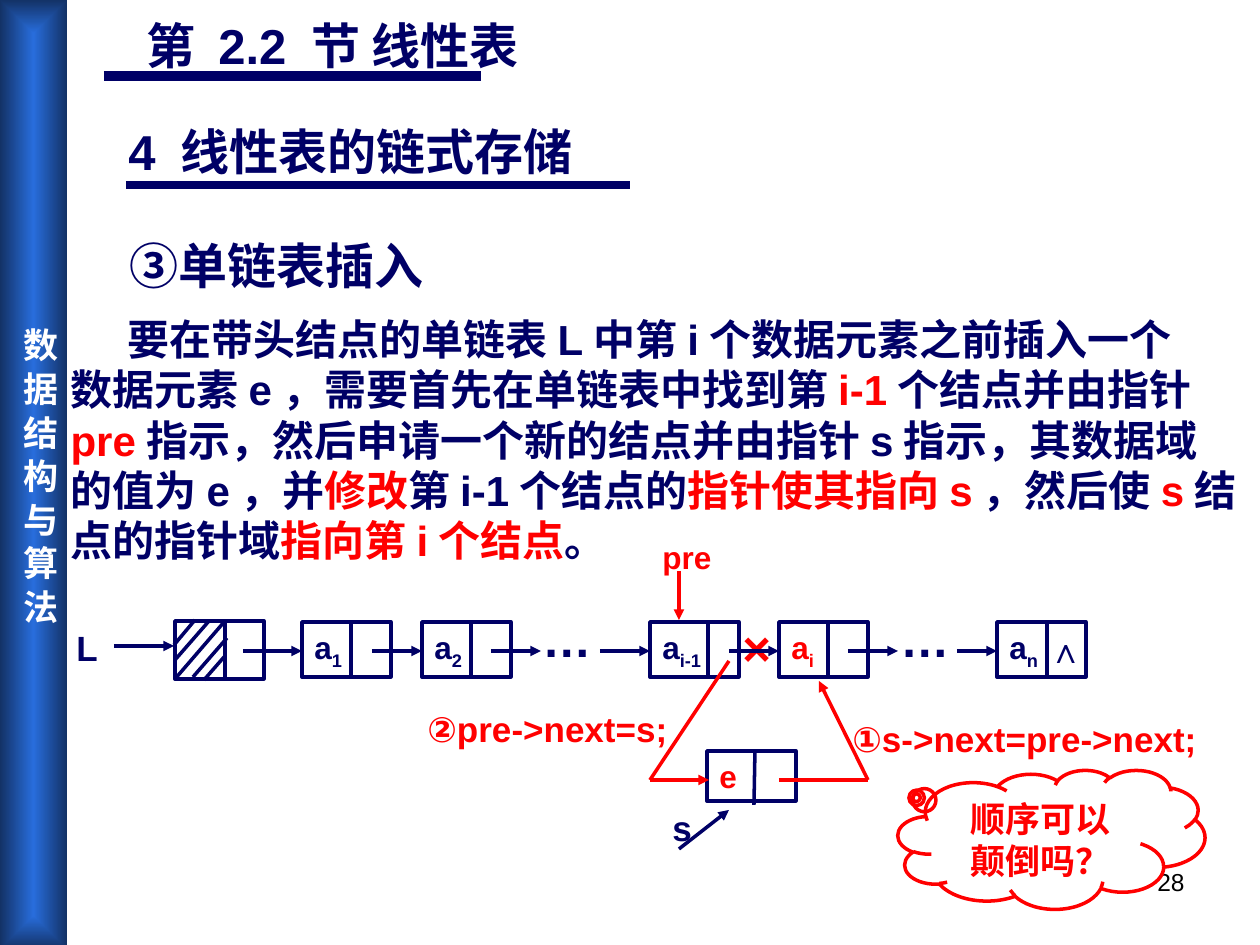
"""Build the slide on inserting a node into a singly linked list."""
from lxml import etree
from pptx import Presentation
from pptx.dml.color import RGBColor
from pptx.enum import shapes, text
from pptx.oxml import parse_xml
from pptx.oxml.ns import nsdecls, qn
from pptx import util as u

PX = 7257
NAVY, RED, WHITE, BLACK = "000066", "FF0000", "FFFFFF", "000000"
rgb = RGBColor.from_string


def write(sp, content, size=20, color=NAVY, accent=RED, base=0, bold=True,
          font="Arial", align="LEFT", wrap=False, anchor="TOP"):
    """Fill a shape with paragraphs; parts between asterisks take the accent and base."""
    tf = sp.text_frame
    tf.word_wrap = wrap
    tf.auto_size = text.MSO_AUTO_SIZE.NONE if wrap else text.MSO_AUTO_SIZE.SHAPE_TO_FIT_TEXT
    tf.vertical_anchor = text.MSO_ANCHOR[anchor]
    for i, line in enumerate(content.split("\n")):
        p = tf.add_paragraph() if i else tf.paragraphs[0]
        p.alignment = text.PP_ALIGN[align]
        p.space_before = u.Pt(0)
        for j, part in enumerate(line.split("*")):
            if not part:
                continue
            r = p.add_run()
            r.text = part
            r.font.size, r.font.bold, r.font.name = u.Pt(size), bold, font
            r.font.color.rgb = rgb(accent if j % 2 else color)
            rpr = r.font._element
            etree.SubElement(rpr, qn("a:ea")).set("typeface", "Noto Sans CJK SC")
            if j % 2 and base:
                rpr.set("baseline", str(base))


def outline(kind, box, color=NAVY):
    """Add an unfilled shape with a 2 pt outline."""
    sp = s.shapes.add_shape(shapes.MSO_SHAPE[kind], *[v * PX for v in box])
    sp.shadow.inherit = False
    sp.fill.background()
    sp.line.color.rgb, sp.line.width = rgb(color), u.Pt(2)
    return sp


prs = Presentation()
prs.slide_width, prs.slide_height = 1260 * PX, 945 * PX
s = prs.slides.add_slide(prs.slide_layouts[1])

bar = outline("RECTANGLE", (0, 0, 67, 949))
bar.line.fill.background()
bar_pr = bar._element.spPr
bar_pr.replace(bar_pr.find(qn("a:noFill")), parse_xml(
    f'<a:gradFill {nsdecls("a")} rotWithShape="1"><a:gsLst>'
    '<a:gs pos="0"><a:srgbClr val="286DDC"/></a:gs>'
    '<a:gs pos="100000"><a:srgbClr val="133266"/></a:gs></a:gsLst>'
    '<a:path path="rect"><a:fillToRect l="50000" t="50000" r="50000" b="50000"/></a:path>'
    '</a:gradFill>'))
write(bar, "数 据 结 构 与 算 法", color=WHITE, font="Noto Sans CJK SC", wrap=True)
bar_tf = bar.text_frame
bar_tf.margin_left = bar_tf.margin_right = 6 * PX
bar_tf.margin_top, bar_tf.margin_bottom = 328 * PX, 13 * PX
bar_tf._txBody.bodyPr.set("vert", "eaVert")

title, body = s.placeholders
for sp, box in ((title, (134, 9, 723, 72)), (body, (58, 307, 1220, 265))):
    sp.left, sp.top, sp.width, sp.height = [v * PX for v in box]
write(title, "第 2.2 节 线性表", size=28, wrap=True)
write(body, "要在带头结点的单链表L中第i个数据元素之前插入一个\n"
      "数据元素e，需要首先在单链表中找到第*i-1*个结点并由指针\n"
      "*pre*指示，然后申请一个新的结点并由指针s指示，其数据域\n"
      "的值为e，并*修改*第i-1个结点的*指针使其指向s*，然后使*s*结\n"
      "点的指针域*指向第i个结点*。", size=24, wrap=True)
for i, p in enumerate(body.text_frame.paragraphs):
    ppr = p._p.get_or_add_pPr()
    ppr.set("marL", "0")
    ppr.set("indent", "0" if i else str(57 * PX))
    etree.SubElement(ppr, qn("a:buNone"))

labels = [
    ("4 线性表的链式存储", (116, 115, 553, 72), dict(size=28, wrap=True)),
    ("③单链表插入", (117, 229, 423, 72), dict(size=28, wrap=True)),
    ("28", (903, 861, 294, 66), dict(size=14, color=BLACK, bold=False, align="RIGHT", wrap=True)),
    ("s", (660, 800, 44, 55), {}),
    ("L", (64, 620, 47, 55), {}),
    ("∧", (1036, 622, 60, 55), {}),
    ("×", (730, 611, 53, 72), dict(size=28, color=RED)),
    ("…", (530, 602, 74, 72), dict(size=28)),
    ("…", (888, 602, 74, 72), dict(size=28)),
    ("pre", (650, 532, 74, 50), dict(size=18, color=RED)),
    ("①s->next=pre->next;", (840, 711, 400, 55), dict(color=RED, wrap=True)),
    ("②pre->next=s;", (415, 701, 285, 55), dict(color=RED, wrap=True)),
]
for content, box, fmt in labels:
    write(s.shapes.add_textbox(*[v * PX for v in box]), content, **fmt)

lines = [
    (104, 76, 481, 76, NAVY, 6, False),
    (126, 185, 630, 185, NAVY, 4.25, False),
    (114, 646, 174, 646, NAVY, 2, True),
    (225, 621, 225, 680, NAVY, 2, False),
    (755, 751, 754, 805, NAVY, 2, False),
    (679, 849, 729, 810, NAVY, 2, True),
    (679, 571, 679, 620, RED, 2, True),
    (779, 780, 868, 780, RED, 2, False),
    (868, 780, 819, 681, RED, 2, True),
    (729, 661, 650, 780, RED, 2, False),
    (650, 780, 709, 780, RED, 2, True),
]
hatches = [(195, 620, 174, 645), (209, 621, 175, 660), (225, 621, 175, 679),
           (227, 638, 193, 677), (225, 656, 204, 680)]
lines += [(*ends, NAVY, 2, False) for ends in hatches]
links = [(243, 302), (372, 422), (491, 541), (600, 650), (729, 779), (848, 898), (957, 997)]
lines += [(x1, 651, x2, 651, NAVY, 2, True) for x1, x2 in links]

outline("RECTANGLE", (175, 621, 89, 58))
nodes = [("a*1*", 302, 49, NAVY), ("a*2*", 422, 49, NAVY), ("a*i-1*", 650, 58, NAVY),
         ("a*i*", 779, 49, RED), ("a*n*", 997, 50, NAVY)]
for content, x, split, color in nodes:
    sp = outline("RECTANGLE", (x, 622, 89, 55))
    write(sp, content, size=18, color=color, accent=color, base=-25000, wrap=True)
    lines.append((x + split, 622, x + split, 677, NAVY, 2, False))
write(outline("RECTANGLE", (707, 751, 89, 50)), "e", size=18, color=RED, wrap=True)

for x1, y1, x2, y2, color, width, arrow in lines:
    c = s.shapes.add_connector(shapes.MSO_CONNECTOR.STRAIGHT, x1 * PX, y1 * PX, x2 * PX, y2 * PX)
    c.line.color.rgb, c.line.width = rgb(color), u.Pt(width)
    if arrow:
        etree.SubElement(c.line._get_or_add_ln(), qn("a:tailEnd")).set("type", "triangle")
    etree.SubElement(c._element.spPr, qn("a:effectLst"))

cloud = outline("CLOUD_CALLOUT", (898, 770, 307, 139), RED)
cloud.adjustments[0], cloud.adjustments[1] = -0.44, -0.3
write(cloud, "顺序可以\n颠倒吗？", color=RED, align="CENTER", wrap=True)

prs.save("out.pptx")
